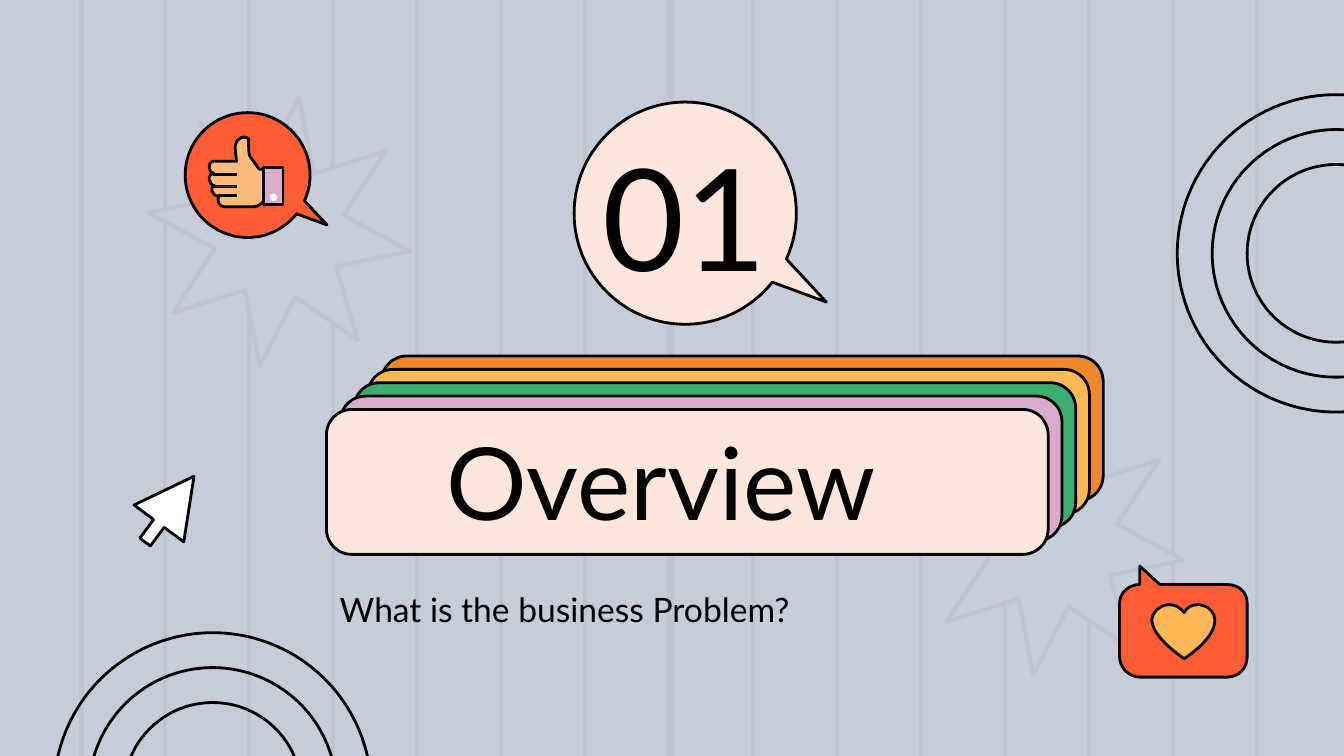
import math

import pptx
import pptx.dml.color
import pptx.enum.shapes
import pptx.enum.text
import pptx.oxml
import pptx.oxml.ns
import pptx.util

Cm = pptx.util.Cm
Pt = pptx.util.Pt
RGB = pptx.dml.color.RGBColor.from_string
SHAPE = pptx.enum.shapes.MSO_SHAPE
qn = pptx.oxml.ns.qn
DRAWING_NS = 'xmlns:a="http://schemas.openxmlformats.org/drawingml/2006/main"'

COLORS = {
    "background": "C6CDD8", "stripe": "C0C4CE", "black": "000000",
    "white": "FFFFFF", "cream": "FCE7DF", "red": "FF5B34",
    "orange": "EE882B", "yellow": "FFB855", "green": "3BAD70",
    "pink": "DAACCB", "skin": "F8BC7D", "plum": "512944",
}

deck = pptx.Presentation()
deck.slide_width, deck.slide_height = Cm(25.4), Cm(14.29)
slide = deck.slides.add_slide(deck.slide_layouts[6])
slide.background.fill.solid()
slide.background.fill.fore_color.rgb = RGB(COLORS["background"])


def dress(shape, fill=None, line="black", width=1.5):
    """Set fill and outline; None leaves either one out."""
    shape.shadow.inherit = False
    for part, color in ((shape.fill, fill), (shape.line.fill, line)):
        if color:
            part.solid()
            part.fore_color.rgb = RGB(COLORS[color])
        else:
            part.background()
    if line:
        shape.line.width = Pt(width)


def write(text, left, top, width, height, size, inset_left=0.25, inset_top=0.25):
    frame = slide.shapes.add_textbox(Cm(left), Cm(top), Cm(width), Cm(height)).text_frame
    frame.word_wrap = True
    frame.vertical_anchor = pptx.enum.text.MSO_ANCHOR.TOP
    frame.margin_left, frame.margin_top = Cm(inset_left), Cm(inset_top)
    frame.margin_right = frame.margin_bottom = Cm(0.25)
    paragraph = frame.paragraphs[0]
    paragraph.alignment = pptx.enum.text.PP_ALIGN.LEFT
    run = paragraph.add_run()
    run.text = text
    run.font.name = "Lato"
    run.font.size = Pt(size)
    run.font.color.rgb = RGB(COLORS["black"])


# Background stripes: fifteen at equal gaps, and one down the middle
for x in [12.7] + [1.54 + 22.21 * i / 14 for i in range(15)]:
    stripe = slide.shapes.add_connector(
        pptx.enum.shapes.MSO_CONNECTOR.STRAIGHT, Cm(x), 0, Cm(x), deck.slide_height)
    stripe.line.color.rgb = RGB(COLORS["stripe"])
    stripe.line.width = Pt(2.25)
    stripe._element.spPr.append(pptx.oxml.parse_xml(f"<a:effectLst {DRAWING_NS}/>"))

for left, top in ((2.78, 1.83), (17.4, 7.67)):
    star = slide.shapes.add_shape(SHAPE.STAR_8_POINT, Cm(left), Cm(top), Cm(5), Cm(5.11))
    star.adjustments[0] = 0.25
    star.rotation = 8.4
    dress(star, "background", "stripe", 2.25)

for center_x, center_y in ((25.25, 4.79), (4.02, 14.96)):
    for radius in (3, 2.34, 1.68):
        ring = slide.shapes.add_shape(
            SHAPE.OVAL, Cm(center_x - radius), Cm(center_y - radius),
            Cm(2 * radius), Cm(2 * radius))
        dress(ring)

# Stacked title cards
for i, color in enumerate(("orange", "yellow", "green", "pink", "cream")):
    card = slide.shapes.add_shape(
        SHAPE.ROUNDED_RECTANGLE, Cm(7.21 - 1.04 * i / 4), Cm(6.73 + 1.01 * i / 4),
        Cm(13.64), Cm(2.74))
    card.adjustments[0] = 0.175
    dress(card, color)

# Outlines in cm: each step holds one point for a line, three for a Bézier curve
outlines = []
for center_x, center_y, radius, color in ((12.95, 4.03, 2.1, "cream"), (4.68, 3.31, 1.18, "red")):
    stops = [math.radians(a) for a in (38.4, 90, 180, 270, 360, 384.4)]
    bubble = [[(math.cos(stops[0]), math.sin(stops[0]))]]
    for a, b in zip(stops, stops[1:]):
        pull = 4 / 3 * math.tan((b - a) / 4)
        bubble.append([
            (math.cos(a) - pull * math.sin(a), math.sin(a) + pull * math.cos(a)),
            (math.cos(b) + pull * math.sin(b), math.sin(b) - pull * math.cos(b)),
            (math.cos(b), math.sin(b))])
    bubble.append([(1.27, 0.8)])
    outlines.append((color, 1.5, [
        [(center_x + radius * x, center_y + radius * y) for x, y in step]
        for step in bubble]))

outlines += [
    ("red", 1.5, [  # message box
        [(21.54, 12.8)],
        [(21.34, 12.8), (21.16, 12.62), (21.16, 12.42)],
        [(21.16, 11.4)],
        [(21.16, 11.2), (21.34, 11.05), (21.54, 11.05)],
        [(21.54, 10.7)], [(21.92, 11.05)], [(23.19, 11.05)],
        [(23.42, 11.05), (23.57, 11.2), (23.57, 11.4)],
        [(23.57, 12.42)],
        [(23.57, 12.62), (23.42, 12.8), (23.19, 12.8)],
    ]),
    ("yellow", 1.5, [  # heart
        [(22.1, 11.43)],
        [(21.92, 11.43), (21.77, 11.58), (21.77, 11.73)],
        [(21.79, 12.07), (22.38, 12.45), (22.38, 12.45)],
        [(22.38, 12.45), (22.96, 12.09), (22.96, 11.73)],
        [(22.96, 11.56), (22.81, 11.43), (22.63, 11.43)],
        [(22.53, 11.43), (22.43, 11.48), (22.38, 11.58)],
        [(22.3, 11.48), (22.2, 11.43), (22.1, 11.43)],
    ]),
    ("skin", 1.5, [  # thumb
        [(4.62, 2.59)],
        [(4.52, 2.59), (4.42, 2.69), (4.45, 2.84)],
        [(4.47, 3.05)], [(4.04, 3.05)],
        [(3.91, 3.05), (3.94, 3.28), (4.04, 3.28)],
        [(3.91, 3.28), (3.94, 3.51), (4.06, 3.51)],
        [(3.96, 3.51), (3.99, 3.71), (4.14, 3.71)],
        [(4.09, 3.78), (4.14, 3.91), (4.24, 3.91)],
        [(4.78, 3.91)],
        [(4.88, 3.91), (4.93, 3.86), (4.98, 3.81)],
        [(4.98, 3.2)], [(4.9, 3.2)], [(4.72, 2.95)],
        [(4.7, 2.87), (4.7, 2.82), (4.7, 2.74)],
        [(4.7, 2.62)],
        [(4.67, 2.59), (4.65, 2.59), (4.62, 2.59)],
    ]),
]

# Cuff and the gaps between the fingers
for color, width, left, top, right, bottom in (
    ("pink", 1.5, 4.98, 3.17, 5.35, 3.87),
    ("plum", 0.75, 4.04, 3.28, 4.47, 3.31),
    ("plum", 0.75, 4.06, 3.51, 4.47, 3.54),
    ("plum", 0.75, 4.14, 3.69, 4.47, 3.72),
):
    outlines.append((color, width, [
        [(left, top)], [(left, bottom)], [(right, bottom)], [(right, top)]]))

for color, width, steps in outlines:
    start, *others = [(Cm(x), Cm(y)) for step in steps for x, y in step]
    builder = slide.shapes.build_freeform(*start)
    builder.add_line_segments(others, close=True)
    outline = builder.convert_to_shape()
    # Join the three line segments of each curve into one Bézier segment
    segments = iter(list(outline._element.iter(qn("a:lnTo"))))
    for step in steps[1:]:
        group = [next(segments) for _ in step]
        if len(group) == 3:
            curve = pptx.oxml.parse_xml(f"<a:cubicBezTo {DRAWING_NS}/>")
            group[0].addprevious(curve)
            for segment in group:
                curve.append(segment[0])
                segment.getparent().remove(segment)
    dress(outline, color, width=width)

cuff_button = slide.shapes.add_shape(SHAPE.OVAL, Cm(5.1), Cm(3.66), Cm(0.14), Cm(0.14))
dress(cuff_button, "white", None)

cursor = slide.shapes.add_shape(SHAPE.RIGHT_ARROW, Cm(2.43), Cm(9.04), Cm(1.55), Cm(1.17))
cursor.adjustments[0], cursor.adjustments[1] = 0.213, 0.95
cursor.rotation = 306.6
dress(cursor, "white")

write("Overview", 7.68, 7.69, 14.68, 2.21, size=54, inset_left=0.76)
write("01", 11.13, 2.46, 4.14, 3.18, size=76, inset_top=0)
write("What is the business Problem?", 6.17, 10.89, 13.94, 1.52, size=18)

deck.save("out.pptx")
